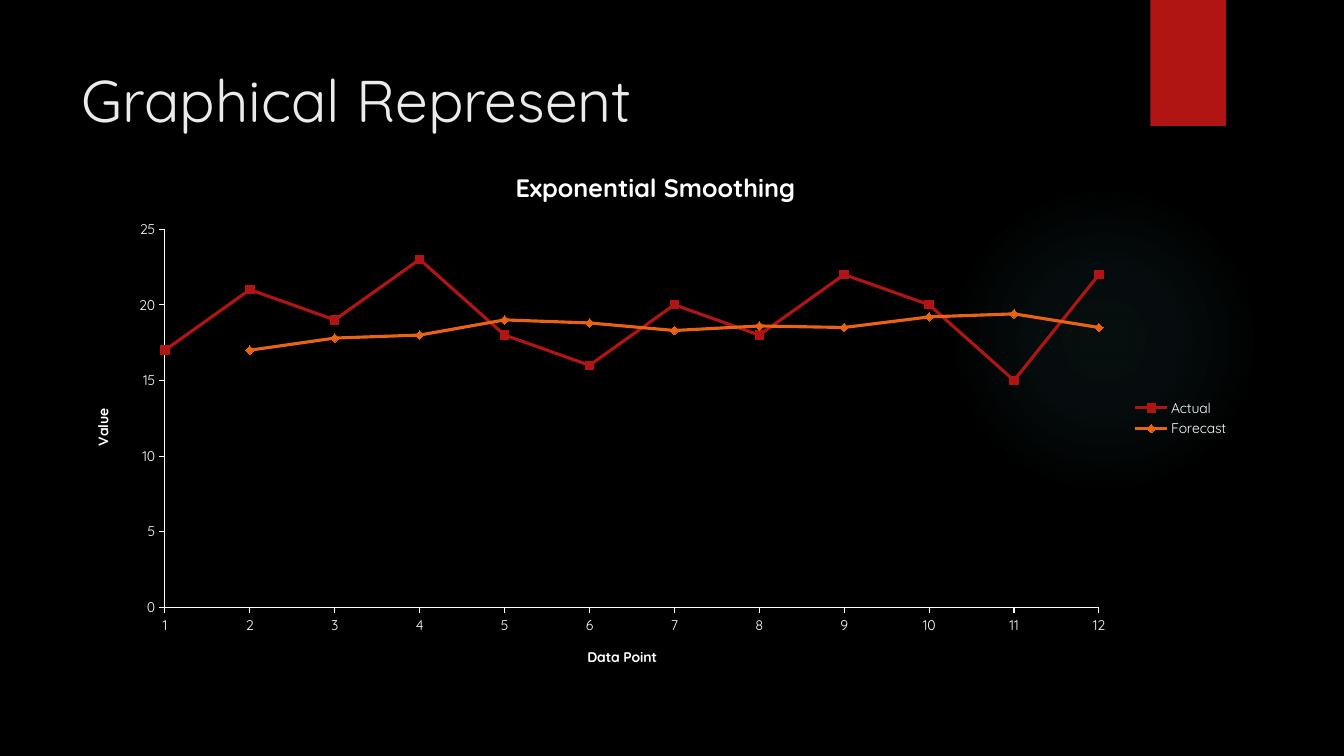
"""Build a dark slide with a line chart of actual and forecast values."""
from dataclasses import dataclass

import lxml.etree
import pptx
import pptx.chart.data
import pptx.dml.color
import pptx.enum.chart
import pptx.enum.shapes
import pptx.enum.text
import pptx.oxml
import pptx.oxml.ns
import pptx.util

Inches = pptx.util.Inches
Pt = pptx.util.Pt
RGBColor = pptx.dml.color.RGBColor
Marker = pptx.enum.chart.XL_MARKER_STYLE
Shape = pptx.enum.shapes.MSO_SHAPE

BLACK = RGBColor(0x00, 0x00, 0x00)
WHITE = RGBColor(0xFF, 0xFF, 0xFF)
PALE = RGBColor(0xEB, 0xEB, 0xEB)
RED = RGBColor(0xB0, 0x15, 0x13)
ORANGE = RGBColor(0xEA, 0x63, 0x12)
TEAL = RGBColor(0x50, 0xB9, 0xC1)
FONT = "Quicksand"


@dataclass
class Box:
    """A place on the slide, in inches."""
    left: float
    top: float
    width: float
    height: float

    def spots(self) -> tuple:
        """Return the four lengths."""
        return tuple(Inches(v) for v in (self.left, self.top, self.width, self.height))


@dataclass
class Trend:
    """One line of the chart."""
    name: str
    values: tuple
    color: RGBColor
    marker: Marker


TRENDS = (
    Trend("Actual", (17, 21, 19, 23, 18, 16, 20, 18, 22, 20, 15, 22), RED, Marker.SQUARE),
    Trend("Forecast", (None, 17, 17.8, 18, 19, 18.8, 18.3, 18.6, 18.5, 19.2, 19.4, 18.5),
          ORANGE, Marker.DIAMOND),
)
GLOW = ((0, 7), (36, 6), (69, 0))
PLOT = {"x": 0.08, "y": 0.15, "w": 0.8, "h": 0.7}


def style(font, size: float, color: RGBColor, bold: bool = False) -> None:
    """Set the look of a font."""
    font.name, font.size, font.bold = FONT, Pt(size), bold
    font.color.rgb = color


def add_block(slide, kind: Shape, box: Box, color: RGBColor):
    """Draw a plain filled shape."""
    block = slide.shapes.add_shape(kind, *box.spots())
    block.shadow.inherit = False
    block.fill.solid()
    block.fill.fore_color.rgb = color
    block.line.fill.background()
    return block


def add_glow(slide, box: Box) -> None:
    """Draw a disc that fades outward."""
    disc = add_block(slide, Shape.OVAL, box, TEAL)
    stops = "".join(
        f'<a:gs pos="{pos * 1000}"><a:srgbClr val="{TEAL}"><a:alpha val="{alpha * 1000}"/>'
        f'</a:srgbClr></a:gs>' for pos, alpha in GLOW)
    fade = pptx.oxml.parse_xml(
        f'<a:gradFill {pptx.oxml.ns.nsdecls("a")}><a:gsLst>{stops}</a:gsLst>'
        '<a:path path="circle"><a:fillToRect l="50000" t="50000" r="50000" b="50000"/>'
        '</a:path></a:gradFill>')
    props = disc.element.spPr
    props.replace(props.find(pptx.oxml.ns.qn("a:solidFill")), fade)


def add_title(slide, text: str, box: Box) -> None:
    """Write the slide title."""
    frame = slide.shapes.add_textbox(*box.spots()).text_frame
    frame.word_wrap = True
    frame.vertical_anchor = pptx.enum.text.MSO_ANCHOR.MIDDLE
    frame.text = text
    style(frame.paragraphs[0].runs[0].font, 42, PALE)


def label(owner, text: str, size: float) -> None:
    """Give a chart or an axis a bold title."""
    frame = owner.text_frame
    frame.text = text
    style(frame.paragraphs[0].runs[0].font, size, WHITE, True)


def set_axis(axis, text: str) -> None:
    """Style one axis."""
    axis.has_major_gridlines = False
    axis.major_tick_mark = pptx.enum.chart.XL_TICK_MARK.OUTSIDE
    axis.minor_tick_mark = pptx.enum.chart.XL_TICK_MARK.NONE
    axis.format.line.color.rgb = WHITE
    axis.format.line.width = Pt(0.75)
    style(axis.tick_labels.font, 10, WHITE)
    label(axis.axis_title, text, 10)


def set_plot(chart) -> None:
    """Pin the plot area and start the lines on the axis."""
    qn = pptx.oxml.ns.qn
    area = chart.element.find(".//" + qn("c:plotArea"))
    for old in area.findall(qn("c:layout")):
        area.remove(old)
    layout = lxml.etree.Element(qn("c:layout"))
    area.insert(0, layout)
    manual = lxml.etree.SubElement(layout, qn("c:manualLayout"))
    rules = {"layoutTarget": "inner", "xMode": "edge", "yMode": "edge", **PLOT}
    for tag, value in rules.items():
        lxml.etree.SubElement(manual, qn("c:" + tag)).set("val", str(value))
    axis = area.find(qn("c:valAx"))
    between = axis.find(qn("c:crossBetween"))
    if between is None:
        between = lxml.etree.Element(qn("c:crossBetween"))
        axis.find(qn("c:crosses")).addnext(between)
    between.set("val", "midCat")


def add_graph(slide, box: Box) -> None:
    """Draw the line chart."""
    data = pptx.chart.data.CategoryChartData()
    data.categories = [str(n) for n in range(1, 13)]
    for trend in TRENDS:
        data.add_series(trend.name, trend.values)
    kind = pptx.enum.chart.XL_CHART_TYPE.LINE_MARKERS
    chart = slide.shapes.add_chart(kind, *box.spots(), data).chart
    style(chart.font, 10, WHITE)
    chart.has_title = True
    label(chart.chart_title, "Exponential Smoothing", 18)
    chart.chart_title.include_in_layout = False
    chart.has_legend = True
    chart.legend.position = pptx.enum.chart.XL_LEGEND_POSITION.RIGHT
    chart.legend.include_in_layout = False
    style(chart.legend.font, 10, WHITE)
    set_axis(chart.category_axis, "Data Point")
    set_axis(chart.value_axis, "Value")
    chart.value_axis.minimum_scale = 0
    chart.value_axis.maximum_scale = 25
    chart.value_axis.major_unit = 5
    chart.plots[0].vary_by_categories = False
    for trend, line in zip(TRENDS, chart.plots[0].series):
        line.smooth = False
        line.format.line.color.rgb = trend.color
        line.format.line.width = Pt(2.25)
        line.marker.style = trend.marker
        line.marker.size = 6
        line.marker.format.fill.solid()
        line.marker.format.fill.fore_color.rgb = trend.color
        line.marker.format.line.color.rgb = trend.color
    set_plot(chart)


def main() -> None:
    """Build and save the slide."""
    deck = pptx.Presentation()
    deck.slide_width, deck.slide_height = Inches(13.33), Inches(7.5)
    slide = deck.slides.add_slide(deck.slide_layouts[6])
    slide.background.fill.solid()
    slide.background.fill.fore_color.rgb = BLACK
    add_glow(slide, Box(9.41, 1.83, 3.08, 3.08))
    add_block(slide, Shape.RECTANGLE, Box(11.41, 0, 0.75, 1.25), RED)
    add_title(slide, "Graphical Represent", Box(0.71, 0.5, 10, 0.97))
    add_graph(slide, Box(0.71, 1.47, 11.58, 5.36))
    deck.save("out.pptx")


main()
